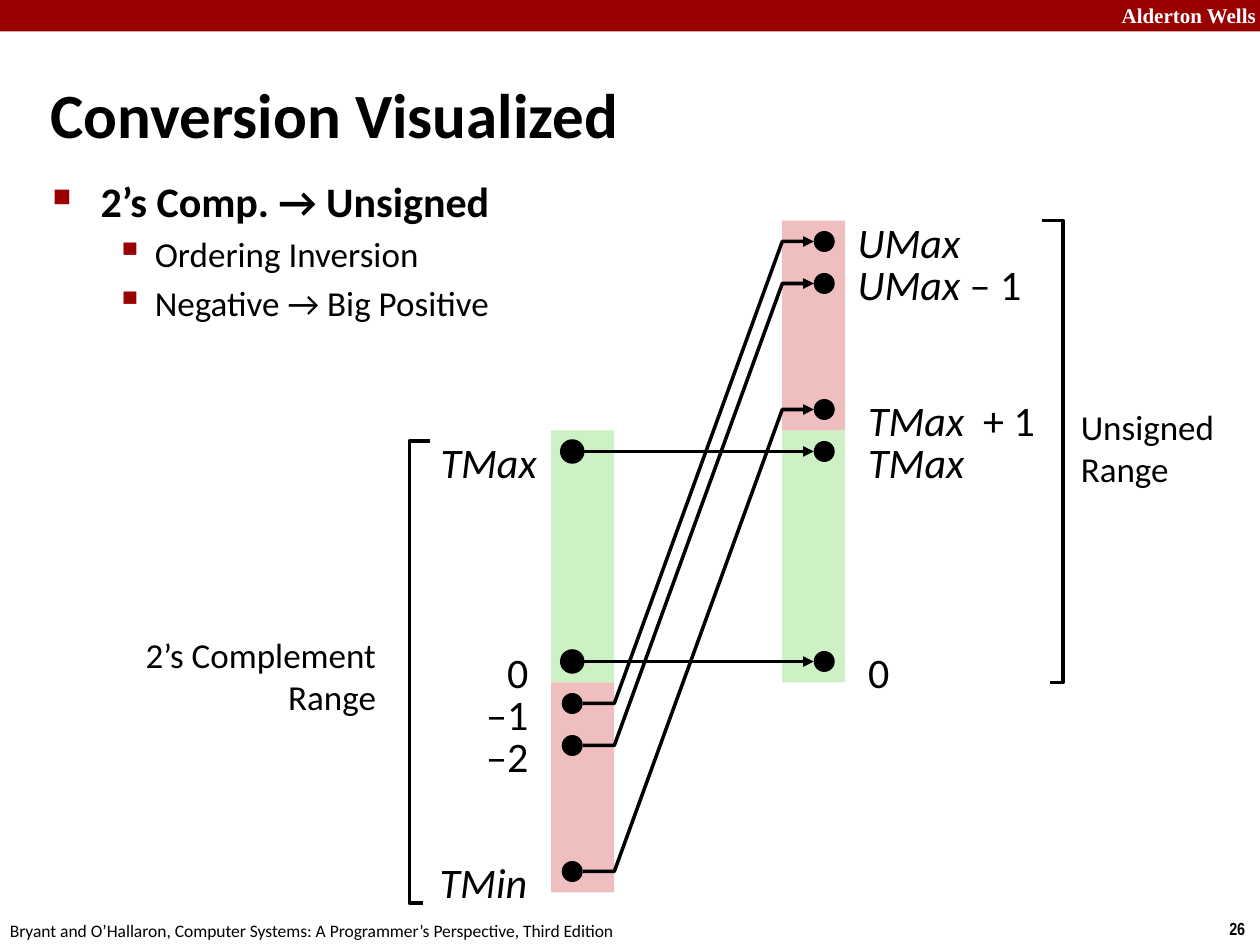
"""Build the slide that maps two's complement values to unsigned values."""
from dataclasses import dataclass
from typing import Optional

from lxml import etree
from pptx import Presentation
from pptx.dml.color import RGBColor
from pptx.enum.shapes import MSO_CONNECTOR, MSO_SHAPE
from pptx.enum.text import MSO_ANCHOR, PP_ALIGN
from pptx.oxml.ns import qn
from pptx.util import Emu, Inches, Pt

RECT, OVAL = MSO_SHAPE.RECTANGLE, MSO_SHAPE.OVAL
STRAIGHT = MSO_CONNECTOR.STRAIGHT
LEFT, RIGHT = PP_ALIGN.LEFT, PP_ALIGN.RIGHT
TOP, MIDDLE = MSO_ANCHOR.TOP, MSO_ANCHOR.MIDDLE

COLORS = {"red": "990000", "green": "CDF1C5", "pink": "EFBFBF",
          "black": "000000", "white": "FFFFFF"}
COLS, ROWS = 120, 90
STEP = 4
SCALE_TOP = 21
BAR_W, DOT = 6, 2
TWOS_BAR, UNSIGNED_BAR = 52.5, 74.5
TWOS_DOT, UNSIGNED_DOT = 53.5, 77.5
LABEL_H = 6.1

prs = Presentation()
prs.slide_width, prs.slide_height = Inches(10), Inches(7.5)
slide = prs.slides.add_slide(prs.slide_layouts[6])
shapes = slide.shapes


@dataclass(frozen=True)
class Bar:
    left: float
    first: int
    last: int
    color: str


@dataclass(frozen=True)
class Mapping:
    source: int
    target: int


@dataclass(frozen=True)
class Text:
    left: float
    top: float
    width: float
    height: float
    lines: tuple[str, ...]
    size: int
    align: PP_ALIGN = LEFT
    font: str = "Calibri"
    color: str = "black"
    bold: bool = False
    anchor: MSO_ANCHOR = TOP


@dataclass(frozen=True)
class Label:
    left: float
    row: float
    width: float
    name: str
    plain: str = ""
    align: PP_ALIGN = LEFT


@dataclass(frozen=True)
class Bullet:
    text: str
    size: int
    bold: bool
    level: int
    margin: float
    hanging: float
    char: str
    percent: int
    before: int


def x(col: float) -> Emu:
    return Emu(round(prs.slide_width * col / COLS))


def y(row: float) -> Emu:
    return Emu(round(prs.slide_height * row / ROWS))


def scale_y(row: float) -> float:
    return SCALE_TOP + STEP * row


def rgb(name: str) -> RGBColor:
    return RGBColor.from_string(COLORS[name])


def add_block(kind: MSO_SHAPE, left: float, top: float, width: float,
              height: float, color: str, outlined: bool = False) -> None:
    sp = shapes.add_shape(kind, x(left), y(top), x(width), y(height))
    sp.shadow.inherit = False
    sp.fill.solid()
    sp.fill.fore_color.rgb = rgb(color)
    if outlined:
        sp.line.color.rgb = rgb(color)
        sp.line.width = Pt(2)
    else:
        sp.line.fill.background()


def style_line(sp, arrow: bool) -> None:
    sp.line.color.rgb = rgb("black")
    sp.line.width = Pt(2)
    if arrow:
        etree.SubElement(sp.line._get_or_add_ln(), qn("a:tailEnd"), type="triangle")


def add_path(points: list[tuple[float, float]], arrow: bool = False) -> None:
    (x0, y0), *rest = [(x(col), y(row)) for col, row in points]
    builder = shapes.build_freeform(x0, y0)
    builder.add_line_segments(rest, close=False)
    sp = builder.convert_to_shape()
    sp.shadow.inherit = False
    sp.fill.background()
    style_line(sp, arrow)


def add_mapping(m: Mapping) -> None:
    level = m.source == m.target
    start, end = TWOS_DOT + DOT, UNSIGNED_DOT
    y1, y2 = scale_y(m.source + 0.5), scale_y(m.target + 0.5)
    add_block(OVAL, TWOS_DOT, y1 - DOT / 2, DOT, DOT, "black", level)
    add_block(OVAL, UNSIGNED_DOT, y2 - DOT / 2, DOT, DOT, "black")
    if level:
        line = shapes.add_connector(STRAIGHT, x(start), y(y1), x(end), y(y2))
        style_line(line, True)
        etree.SubElement(line._element.spPr, qn("a:effectLst"))
    else:
        add_path([(start, y1), (TWOS_BAR + BAR_W, y1), (UNSIGNED_BAR, y2), (end, y2)], True)


def add_frame(left: float, top: float, width: float, height: float):
    tf = shapes.add_textbox(x(left), y(top), x(width), y(height)).text_frame
    tf.word_wrap = True
    return tf


def style_run(r, size: int, font: str = "Calibri", color: str = "black",
              bold: bool = False, italic: Optional[bool] = None) -> None:
    r.font.size, r.font.name = Pt(size), font
    r.font.color.rgb = rgb(color)
    r.font.bold, r.font.italic = bold, italic


def add_text(t: Text) -> None:
    tf = add_frame(t.left, t.top, t.width, t.height)
    tf.vertical_anchor = t.anchor
    tf.text = "\n".join(t.lines)
    for p in tf.paragraphs:
        p.alignment = t.align
        style_run(p.runs[0], t.size, t.font, t.color, t.bold)


def add_label(label: Label) -> None:
    p = add_frame(label.left, scale_y(label.row), label.width, LABEL_H).paragraphs[0]
    p.alignment = label.align
    for text, italic in ((label.name, True), (label.plain, False)):
        if text:
            r = p.add_run()
            r.text = text
            style_run(r, 24, italic=italic)


def add_bullets(bullets: list[Bullet]) -> None:
    tf = add_frame(3.84, 16.08, 54.6, 22.56)
    tf.text = "\n".join(b.text for b in bullets)
    for p, b in zip(tf.paragraphs, bullets):
        p.level, p.space_before = b.level, Pt(b.before)
        style_run(p.runs[0], b.size, bold=b.bold)
        pPr = p._p.get_or_add_pPr()
        pPr.set("marL", str(Inches(b.margin)))
        pPr.set("indent", str(-Inches(b.hanging)))
        color = etree.SubElement(pPr, qn("a:buClr"))
        etree.SubElement(color, qn("a:srgbClr"), val=COLORS["red"])
        etree.SubElement(pPr, qn("a:buSzPct"), val=str(b.percent * 1000))
        etree.SubElement(pPr, qn("a:buChar"), char=b.char)


BARS = [Bar(UNSIGNED_BAR, 5, 11, "green"), Bar(TWOS_BAR, 5, 11, "green"),
        Bar(TWOS_BAR, 11, 16, "pink"), Bar(UNSIGNED_BAR, 0, 5, "pink")]
MAPPINGS = [Mapping(10, 10), Mapping(5, 5), Mapping(11, 0), Mapping(12, 1), Mapping(15, 4)]
LABELS = [
    Label(40.7, 5, 11.6, "TMax", align=RIGHT), Label(40.6, 15, 10.8, "TMin", align=RIGHT),
    *[Label(41.5, row, 10, "", text, RIGHT) for row, text in ((10, "0"), (11, "–1"), (12, "–2"))],
    Label(80.5, -0.25, 15, "UMax"), Label(80.5, 0.75, 19, "UMax", " – 1"),
    Label(81.5, 4, 18.5, "TMax  ", "+ 1"), Label(81.5, 5, 11.7, "TMax"),
    Label(81.5, 10, 10, "", "0"),
]
TEXTS = [
    Text(103.7, -0.36, 17.1, 3.6, ("Alderton Wells",), 12, RIGHT, "Times New Roman", "white", True),
    Text(115.9, 86.8, 4.1, 3.2, ("26",), 10, font="Arial Narrow", bold=True),
    Text(-0.24, 87, 61, 3.2, ("Bryant and O’Hallaron, Computer Systems: "
                             "A Programmer’s Perspective, Third Edition",), 10),
    Text(3.6, 7, 104, 7.5, ("Conversion Visualized",), 36, bold=True, anchor=MIDDLE),
    Text(9, 59.75, 28, 9.2, ("2’s Complement Range",), 20, RIGHT),
    Text(101.75, 38, 15.3, 9.2, ("Unsigned", "Range"), 20),
]
BULLETS = [Bullet("2’s Comp. → Unsigned", 24, True, 0, 0.38, 0.38, "■", 60, 0),
           *[Bullet(text, 20, False, 1, 0.81, 0.31, "▪", 110, 4)
             for text in ("Ordering Inversion", "Negative → Big Positive")]]
BRACKETS = [[(40.3, 86), (39, 86), (39, 42), (41, 42)],
            [(100, 65), (101.25, 65), (101.25, 21), (99.25, 21)]]

add_block(RECT, 0, 0, COLS, 3, "red")
for bar in BARS:
    add_block(RECT, bar.left, scale_y(bar.first), BAR_W, STEP * (bar.last - bar.first), bar.color)
for mapping in MAPPINGS:
    add_mapping(mapping)
for label in LABELS:
    add_label(label)
for bracket in BRACKETS:
    add_path(bracket)
for text in TEXTS:
    add_text(text)
add_bullets(BULLETS)

prs.save("out.pptx")
